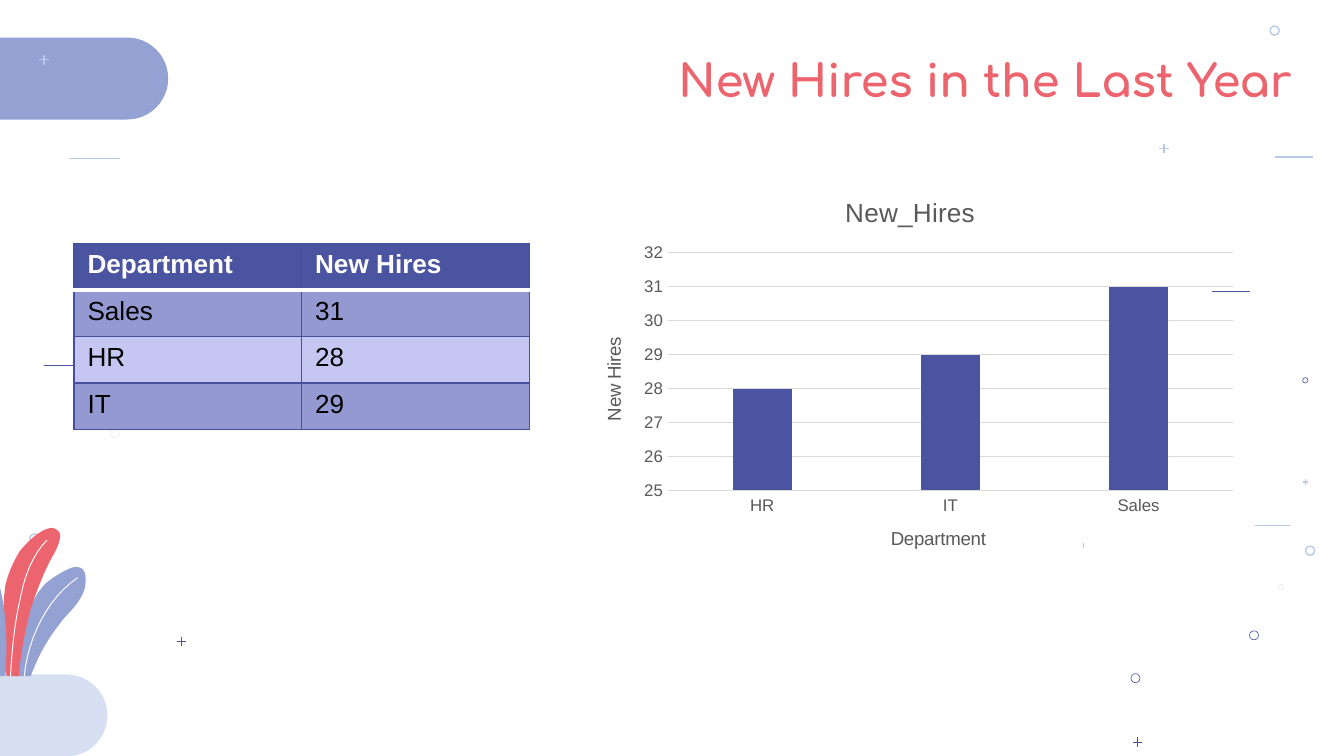
"""Build the slide on new hires with a table, a column chart and line decorations."""
from dataclasses import dataclass

from lxml.etree import SubElement
from pptx import Presentation
from pptx.chart.data import CategoryChartData
from pptx.dml.color import RGBColor
from pptx.enum.chart import XL_CHART_TYPE as ChartType, XL_TICK_MARK as Tick
from pptx.enum.shapes import MSO_CONNECTOR as Conn, MSO_SHAPE as Shape
from pptx.enum.text import MSO_ANCHOR as Anchor, MSO_AUTO_SIZE as AutoSize, PP_ALIGN as Align
from pptx.oxml import parse_xml
from pptx.oxml.ns import nsdecls, qn
from pptx.util import Cm, Pt

INDIGO = RGBColor(0x4B, 0x54, 0xA1)
BORDER = RGBColor(0x47, 0x50, 0xA0)
BAND = RGBColor(0x94, 0x99, 0xD1)
LAVENDER = RGBColor(0xC5, 0xC7, 0xF2)
PERIWINKLE = RGBColor(0x94, 0xA2, 0xD3)
MIST = RGBColor(0xD7, 0xDF, 0xF2)
SKY = RGBColor(0xB9, 0xCA, 0xE9)
PALE = RGBColor(0xE8, 0xEC, 0xF8)
CORAL = RGBColor(0xEC, 0x64, 0x6E)
GREY = RGBColor(0x59, 0x59, 0x59)
GRID = RGBColor(0xD9, 0xD9, 0xD9)
WHITE = RGBColor(0xFF, 0xFF, 0xFF)
BLACK = RGBColor(0, 0, 0)
THIN, MEDIUM = 0.33, 0.75
STEPS = 12


@dataclass
class Mark:
    kind: str
    x: float
    y: float
    size: float
    color: RGBColor
    width: float = THIN


@dataclass
class Curve:
    start: tuple
    segments: list
    color: RGBColor
    closed: bool = True


MARKS = [
    Mark("tick", 20.48, 10.31, 0.1, SKY),
    Mark("plus", 22, 2.81, 0.18, SKY, MEDIUM),
    Mark("plus", 24.67, 9.11, 0.1, SKY, MEDIUM),
    Mark("plus", 0.83, 1.13, 0.18, SKY, MEDIUM),
    Mark("plus", 3.43, 12.13, 0.18, INDIGO),
    Mark("plus", 21.5, 14.03, 0.18, INDIGO),
    Mark("ring", 24.67, 7.19, 0.1, INDIGO),
    Mark("ring", 24.21, 11.1, 0.1, PALE),
    Mark("ring", 2.17, 8.19, 0.17, PALE),
    Mark("ring", 21.46, 12.82, 0.17, INDIGO),
    Mark("ring", 23.7, 12.01, 0.17, INDIGO),
    Mark("ring", 24.76, 10.41, 0.17, SKY, MEDIUM),
    Mark("ring", 0.65, 10.18, 0.17, SKY, MEDIUM),
    Mark("ring", 24.09, 0.58, 0.17, SKY, MEDIUM),
    Mark("dash", 1.78, 3, 0.97, SKY, MEDIUM),
    Mark("dash", 23.26, 5.51, 0.71, INDIGO),
    Mark("dash", 1.31, 6.91, 0.97, INDIGO),
    Mark("dash", 22.07, 9.27, 0.46, SKY, MEDIUM),
    Mark("dash", 24.05, 9.93, 0.66, SKY, MEDIUM),
    Mark("dash", 24.46, 2.97, 0.71, SKY, MEDIUM),
]
PLANT = [
    Curve((1.45, 10.72), [
        ((1.65, 10.72), (1.63, 10.97), (1.6, 11.13)),
        ((1.52, 11.38), (1.35, 11.53), (1.19, 11.71)),
        ((0.94, 12.04), (0.79, 12.24), (0.58, 12.78)),
        ((0.28, 12.78),),
        ((0.28, 12.78), (0.33, 11.61), (0.84, 11.05)),
        ((0.99, 10.92), (1.22, 10.77), (1.4, 10.72))], PERIWINKLE),
    Curve((0.99, 9.98), [
        ((1.02, 9.98), (1.07, 10.01), (1.09, 10.03)),
        ((1.22, 10.11), (1.04, 10.44), (0.99, 10.52)),
        ((0.81, 10.85), (0.69, 11.18), (0.58, 11.51)),
        ((0.48, 11.91), (0.38, 12.34), (0.36, 12.78)),
        ((0.13, 12.78),),
        ((0, 12.52), (0.05, 11.43), (0.1, 11.07)),
        ((0.15, 10.85), (0.25, 10.62), (0.38, 10.41)),
        ((0.48, 10.29), (0.76, 9.98), (0.99, 9.98))], CORAL),
    Curve((-0.84, 9.96), [
        ((-0.69, 9.96), (-0.38, 10.24), (-0.15, 10.69)),
        ((0.13, 11.23), (0.15, 12.17), (0.1, 12.78)),
        ((-0.23, 12.78),),
        ((-0.43, 12.55), (-1.12, 10.72), (-0.94, 10.06)),
        ((-0.91, 9.98), (-0.89, 9.96), (-0.84, 9.96))], PERIWINKLE),
    Curve((1.47, 10.92), [((0.91, 11.3), (0.53, 12.04), (0.46, 12.78))], WHITE, False),
    Curve((0.89, 10.21), [
        ((0.64, 10.46), (0.48, 10.85), (0.41, 11.2)),
        ((0.28, 11.73), (0.23, 12.24), (0.2, 12.78))], WHITE, False),
]
ROWS = [("Department", "New Hires"), ("Sales", "31"), ("HR", "28"), ("IT", "29")]


def style_font(font, size: float, color: RGBColor, bold: bool = False, name: str = "Arial") -> None:
    font.name, font.size, font.bold = name, Pt(size), bold
    font.color.rgb = color


def style_line(line, color: RGBColor, width: float) -> None:
    line.color.rgb, line.width = color, Pt(width)


def add_pill(s, x: float, y: float, color: RGBColor) -> None:
    sp = s.shapes.add_shape(Shape.ROUNDED_RECTANGLE, Cm(x), Cm(y), Cm(5.26), Cm(1.55))
    sp.adjustments[0] = 0.5
    sp.shadow.inherit = False
    sp.fill.solid()
    sp.fill.fore_color.rgb = color
    sp.line.fill.background()


def add_mark(s, m: Mark) -> None:
    half = m.size / 2
    if m.kind == "ring":
        sp = s.shapes.add_shape(Shape.OVAL, Cm(m.x - half), Cm(m.y - half), Cm(m.size), Cm(m.size))
        sp.shadow.inherit = False
        sp.fill.background()
        style_line(sp.line, m.color, m.width)
        return
    strokes = {"tick": [(0, half)], "dash": [(half, 0)], "plus": [(0, half), (half, 0)]}
    for dx, dy in strokes[m.kind]:
        cx = s.shapes.add_connector(Conn.STRAIGHT, Cm(m.x - dx), Cm(m.y - dy), Cm(m.x + dx), Cm(m.y + dy))
        style_line(cx.line, m.color, m.width)
        SubElement(cx._element.spPr, qn("a:effectLst"))


def bezier(points: list, t: float) -> tuple:
    while len(points) > 1:
        points = [tuple(a + (b - a) * t for a, b in zip(p, q)) for p, q in zip(points, points[1:])]
    return points[0]


def add_curve(s, c: Curve) -> None:
    vertices, here = [], c.start
    for segment in c.segments:
        steps = STEPS if len(segment) > 1 else 1
        vertices += [bezier([here, *segment], i / steps) for i in range(1, steps + 1)]
        here = segment[-1]
    fb = s.shapes.build_freeform(*map(Cm, c.start))
    fb.add_line_segments([tuple(map(Cm, v)) for v in vertices], close=c.closed)
    sp = fb.convert_to_shape()
    sp.shadow.inherit = False
    if c.closed:
        sp.fill.solid()
        sp.fill.fore_color.rgb = c.color
        sp.line.fill.background()
    else:
        sp.fill.background()
        style_line(sp.line, c.color, 0.52)


def add_title(s, text: str) -> None:
    sp = s.shapes.title
    sp.left, sp.top, sp.width, sp.height = Cm(7.24), Cm(0.71), Cm(17.42), Cm(1.6)
    tf = sp.text_frame
    tf.text, tf.auto_size, tf.vertical_anchor = text, AutoSize.NONE, Anchor.MIDDLE
    tf.margin_left = tf.margin_right = tf.margin_top = tf.margin_bottom = Cm(0.25)
    p = tf.paragraphs[0]
    p.alignment = Align.RIGHT
    style_font(p.font, 24, CORAL, True, "Comfortaa")


def set_border(cell, side: str, color: RGBColor, width: float) -> None:
    cell._tc.get_or_add_tcPr().append(parse_xml(
        f'<a:ln{side} {nsdecls("a")} w="{Pt(width)}"><a:solidFill><a:srgbClr val="{color}"/>'
        f'</a:solidFill></a:ln{side}>'))


def add_hires_table(s) -> None:
    table = s.shapes.add_table(len(ROWS), 2, Cm(1.4), Cm(4.6), Cm(8.6), Cm(3.52)).table
    for i, row in enumerate(ROWS):
        for j, text in enumerate(row):
            cell = table.cell(i, j)
            for side in "LRTB":
                under_header = (i, side) in ((0, "B"), (1, "T"))
                set_border(cell, side, *((WHITE, 2) if under_header else (BORDER, MEDIUM)))
            cell.fill.solid()
            cell.fill.fore_color.rgb = INDIGO if i == 0 else BAND if i % 2 else LAVENDER
            cell.text = text
            style_font(cell.text_frame.paragraphs[0].font, 14, BLACK if i else WHITE, i == 0)


def set_chart_title(owner, text: str, size: float) -> None:
    tf = (owner.chart_title if hasattr(owner, "chart_title") else owner.axis_title).text_frame
    tf.text = text
    style_font(tf.paragraphs[0].font, size, GREY)


def add_hires_chart(s) -> None:
    data = CategoryChartData()
    data.categories = ["HR", "IT", "Sales"]
    data.add_series("New_Hires", [28, 29, 31])
    frame = s.shapes.add_chart(ChartType.COLUMN_CLUSTERED, Cm(10.85), Cm(3.33), Cm(12.7), Cm(7.62), data)
    chart = frame.chart
    chart.has_legend = False
    style_font(chart.font, 10, BLACK)
    set_chart_title(chart, "New_Hires", 14)
    plot = chart.plots[0]
    plot.gap_width, plot.overlap, plot.vary_by_categories = 219, -27, False
    fill = plot.series[0].format.fill
    fill.solid()
    fill.fore_color.rgb = INDIGO
    for axis, text in ((chart.category_axis, "Department"), (chart.value_axis, "New Hires")):
        set_chart_title(axis, text, 10)
        axis.major_tick_mark = axis.minor_tick_mark = Tick.NONE
        style_font(axis.tick_labels.font, 9, GREY)
    style_line(chart.category_axis.format.line, GRID, MEDIUM)
    values = chart.value_axis
    values.minimum_scale, values.maximum_scale, values.major_unit = 25, 32, 1
    values.format.line.fill.background()
    style_line(values.major_gridlines.format.line, GRID, MEDIUM)
    area = chart._chartSpace.chart.plotArea
    for old in area.findall(qn("c:layout")):
        area.remove(old)
    box = "".join(f'<c:{k} val="{v}"/>' for k, v in (
        ("layoutTarget", "inner"), ("xMode", "edge"), ("yMode", "edge"),
        ("x", 0.14), ("y", 0.19), ("w", 0.84), ("h", 0.59)))
    area.insert(0, parse_xml(f'<c:layout {nsdecls("c")}><c:manualLayout>{box}</c:manualLayout></c:layout>'))


def main() -> None:
    prs = Presentation()
    prs.slide_width, prs.slide_height = Cm(25.4), Cm(14.29)
    s = prs.slides.add_slide(prs.slide_layouts[5])
    add_pill(s, -2.08, 0.71, PERIWINKLE)
    add_pill(s, -3.23, 12.75, MIST)
    for mark in MARKS:
        add_mark(s, mark)
    for curve in PLANT:
        add_curve(s, curve)
    add_title(s, "New Hires in the Last Year")
    add_hires_chart(s)
    add_hires_table(s)
    prs.save("out.pptx")


if __name__ == "__main__":
    main()
